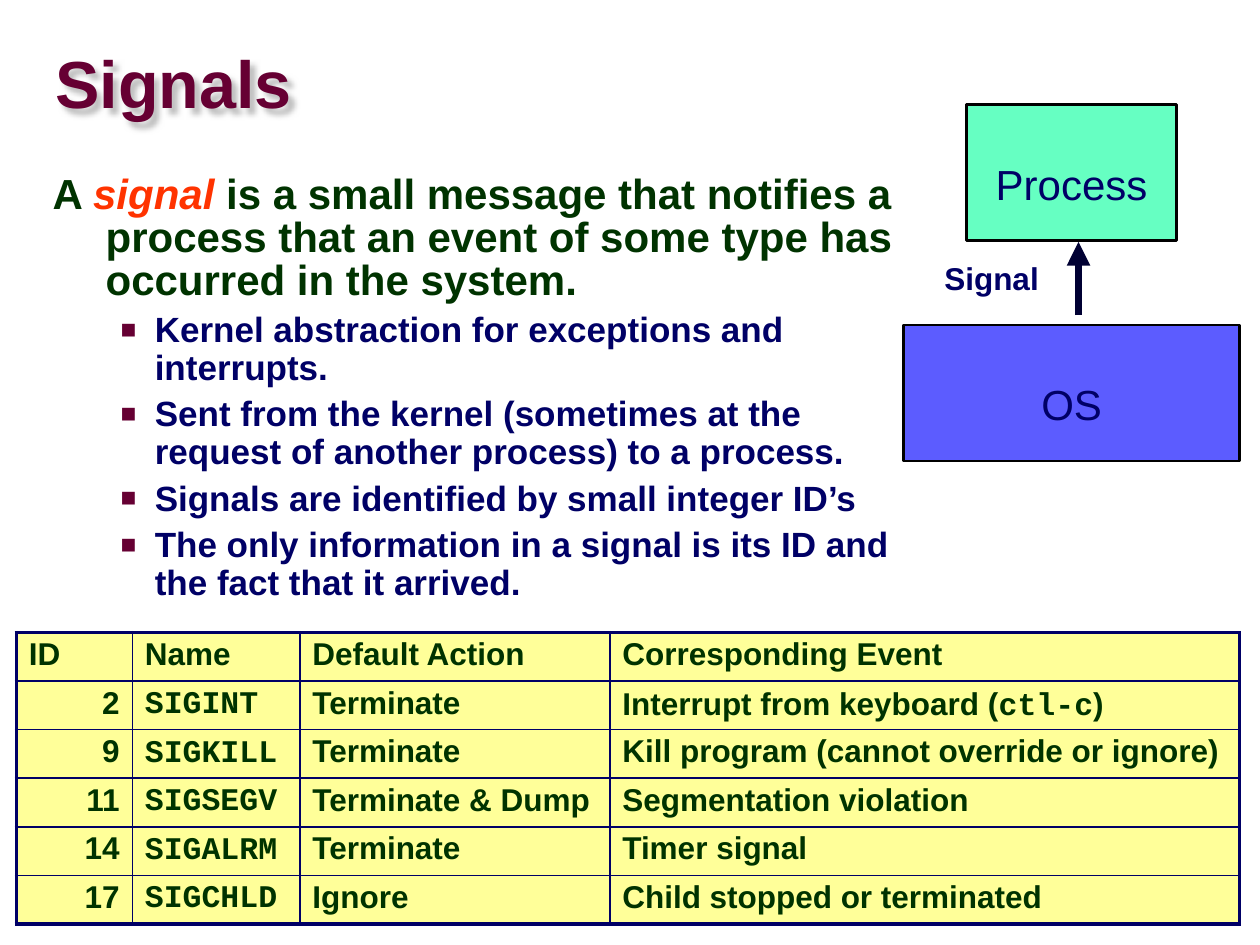
from dataclasses import dataclass
from typing import Any

from lxml import etree
from pptx import Presentation
from pptx.dml.color import RGBColor
from pptx.enum.shapes import MSO_CONNECTOR, MSO_SHAPE
from pptx.enum.text import MSO_ANCHOR, PP_ALIGN
from pptx.oxml import parse_xml
from pptx.oxml.ns import nsdecls, qn
from pptx.util import Inches, Pt

LEFT, CENTER, RIGHT = PP_ALIGN.LEFT, PP_ALIGN.CENTER, PP_ALIGN.RIGHT
TOP, MIDDLE = MSO_ANCHOR.TOP, MSO_ANCHOR.MIDDLE
RECTANGLE = MSO_SHAPE.RECTANGLE
STRAIGHT = MSO_CONNECTOR.STRAIGHT

COLORS = {
    "title": "660033",
    "lead": "003300",
    "accent": "FF3300",
    "navy": "000066",
    "arrow": "000033",
    "black": "000000",
    "shadow": "C0C0C0",
    "cell": "FFFF99",
    "system": "5C5CFF",
    "process": "66FFC2",
}
BODY_FONT, CODE_FONT = "Arial", "Courier New"
INNER_BORDER, OUTER_BORDER = 1, 2.25


@dataclass(frozen=True)
class Span:
    text: str
    size: float
    color: str
    bold: bool = True
    italic: bool = False
    font: str = BODY_FONT


@dataclass(frozen=True)
class Box:
    left: float
    top: float
    width: float
    height: float
    fill: str
    label: str


BULLETS = [
    "Kernel abstraction for exceptions and interrupts.",
    "Sent from the kernel (sometimes at the request of another process) to a process.",
    "Signals are identified by small integer ID’s",
    "The only information in a signal is its ID and the fact that it arrived.",
]
BOXES = [
    Box(7.17, 2.58, 2.67, 1.08, "system", "OS"),
    Box(7.67, 0.83, 1.67, 1.08, "process", "Process"),
]
COLUMN_WIDTHS = [0.92, 1.33, 2.46, 5]
ROW_HEIGHT = 0.385
HEADER = ("ID", "Name", "Default Action", "Corresponding Event")
SIGNALS = [
    ("2", "SIGINT", "Terminate", "Interrupt from keyboard (|ctl-c|)"),
    ("9", "SIGKILL", "Terminate", "Kill program (cannot override or ignore)"),
    ("11", "SIGSEGV", "Terminate & Dump", "Segmentation violation"),
    ("14", "SIGALRM", "Terminate", "Timer signal"),
    ("17", "SIGCHLD", "Ignore", "Child stopped or terminated"),
]


def rgb(name: str) -> RGBColor:
    return RGBColor.from_string(COLORS[name])


def set_attributes(target: Any, values: dict[str, Any]) -> None:
    for name, value in values.items():
        setattr(target, name, value)


def write(paragraph: Any, spans: list[Span], spacing: float,
          alignment: Any = LEFT, before: float = 0) -> None:
    set_attributes(paragraph, {
        "line_spacing": spacing, "alignment": alignment, "space_before": Pt(before),
    })
    for span in spans:
        run = paragraph.add_run()
        run.text = span.text
        set_attributes(run.font, {
            "name": span.font, "size": Pt(span.size),
            "bold": span.bold, "italic": span.italic,
        })
        run.font.color.rgb = rgb(span.color)


def indent(paragraph: Any, margin: float, first_line: float) -> None:
    properties = paragraph._p.get_or_add_pPr()
    properties.set("marL", str(Inches(margin)))
    properties.set("indent", str(Inches(first_line)))


def add_bullet(paragraph: Any) -> None:
    properties = paragraph._p.get_or_add_pPr()
    for xml in (
        f'<a:buClr {nsdecls("a")}><a:srgbClr val="{COLORS["title"]}"/></a:buClr>',
        f'<a:buSzPct {nsdecls("a")} val="75000"/>',
        f'<a:buFont {nsdecls("a")} typeface="{BODY_FONT}"/>',
        f'<a:buChar {nsdecls("a")} char="■"/>',
    ):
        properties.append(parse_xml(xml))


def add_text_box(slide: Any, left: float, top: float, width: float, height: float,
                 anchor: Any = TOP, wrap: bool = True) -> Any:
    shape = slide.shapes.add_textbox(
        Inches(left), Inches(top), Inches(width), Inches(height))
    set_attributes(shape.text_frame, {"word_wrap": wrap, "vertical_anchor": anchor})
    return shape


def add_title(slide: Any) -> None:
    shape = add_text_box(slide, 0.44, 0.27, 9.53, 0.85, MIDDLE)
    set_attributes(shape.text_frame, dict.fromkeys(
        ("margin_left", "margin_right", "margin_top", "margin_bottom"), Inches(0)))
    write(shape.text_frame.paragraphs[0], [Span("Signals", 38, "title")], 0.87)
    shape._element.spPr.append(parse_xml(
        f'<a:effectLst {nsdecls("a")}><a:outerShdw blurRad="{Inches(0.04)}" '
        f'dist="{Inches(0.06)}" dir="2700000"><a:srgbClr val="{COLORS["shadow"]}"/>'
        '</a:outerShdw></a:effectLst>'))


def add_body(slide: Any) -> None:
    frame = add_text_box(slide, 0.32, 1.34, 7.18, 3).text_frame
    lead = frame.paragraphs[0]
    indent(lead, 0.42, -0.42)
    write(lead, [
        Span("A ", 24, "lead"),
        Span("signal", 24, "accent", italic=True),
        Span(" is a small message that notifies a process that an event of some type "
             "has occurred in the system.", 24, "lead"),
    ], 0.85)
    for text in BULLETS:
        paragraph = frame.add_paragraph()
        indent(paragraph, 0.81, -0.27)
        add_bullet(paragraph)
        write(paragraph, [Span(text, 20, "navy")], 0.9, before=5)


def add_box(slide: Any, box: Box) -> None:
    shape = slide.shapes.add_shape(
        RECTANGLE, Inches(box.left), Inches(box.top), Inches(box.width), Inches(box.height))
    shape.shadow.inherit = False
    shape.fill.solid()
    shape.fill.fore_color.rgb = rgb(box.fill)
    shape.line.color.rgb = rgb("black")
    shape.line.width = Pt(1.5)
    set_attributes(shape.text_frame, {
        "word_wrap": False, "vertical_anchor": MIDDLE,
        "margin_left": Inches(0.05), "margin_right": Inches(0.05),
        "margin_top": Inches(0.27), "margin_bottom": Inches(0.05),
    })
    write(shape.text_frame.paragraphs[0],
          [Span(box.label, 24, "navy", bold=False)], 0.9, CENTER)


def add_signal_arrow(slide: Any) -> None:
    label = add_text_box(slide, 7.39, 2.04, 0.96, 0.38, wrap=False)
    write(label.text_frame.paragraphs[0], [Span("Signal", 18, "navy")], 0.9, CENTER)
    arrow = slide.shapes.add_connector(
        STRAIGHT, Inches(8.56), Inches(2.5), Inches(8.56), Inches(1.92))
    arrow.line.color.rgb = rgb("arrow")
    arrow.line.width = Pt(4.5)
    etree.SubElement(arrow.line._get_or_add_ln(), qn("a:tailEnd"), type="triangle")
    etree.SubElement(arrow._element.spPr, qn("a:effectLst"))


def set_borders(cell: Any, outer_sides: dict[str, bool]) -> None:
    properties = cell._tc.get_or_add_tcPr()
    for position, (side, is_outer) in enumerate(outer_sides.items()):
        width = Pt(OUTER_BORDER if is_outer else INNER_BORDER)
        properties.insert(position, parse_xml(
            f'<a:{side} {nsdecls("a")} w="{width}"><a:solidFill>'
            f'<a:srgbClr val="{COLORS["navy"]}"/></a:solidFill></a:{side}>'))


def add_signal_table(slide: Any) -> None:
    rows = [HEADER, *SIGNALS]
    last_row, last_column = len(rows) - 1, len(HEADER) - 1
    table = slide.shapes.add_table(
        len(rows), len(HEADER), Inches(0.13), Inches(5.02),
        Inches(sum(COLUMN_WIDTHS)), Inches(ROW_HEIGHT * len(rows))).table
    set_attributes(table, {"first_row": False, "horz_banding": False})
    for column, width in zip(table.columns, COLUMN_WIDTHS):
        column.width = Inches(width)
    for r, values in enumerate(rows):
        table.rows[r].height = Inches(ROW_HEIGHT)
        for c, value in enumerate(values):
            cell = table.cell(r, c)
            cell.fill.solid()
            cell.fill.fore_color.rgb = rgb("cell")
            set_borders(cell, {"lnL": c == 0, "lnR": c == last_column,
                               "lnT": r == 0, "lnB": r == last_row})
            is_name = r > 0 and c == 1
            spans = [
                Span(part, 18, "lead", font=CODE_FONT if is_name or i % 2 else BODY_FONT)
                for i, part in enumerate(value.split("|"))
            ]
            write(cell.text_frame.paragraphs[0], spans, 0.95,
                  RIGHT if r > 0 and c == 0 else LEFT)


def main() -> None:
    presentation = Presentation()
    set_attributes(presentation, {"slide_width": Inches(10), "slide_height": Inches(7.5)})
    slide = presentation.slides.add_slide(presentation.slide_layouts[6])
    add_title(slide)
    add_body(slide)
    add_signal_table(slide)
    for box in BOXES:
        add_box(slide, box)
    add_signal_arrow(slide)
    presentation.save("out.pptx")


if __name__ == "__main__":
    main()
